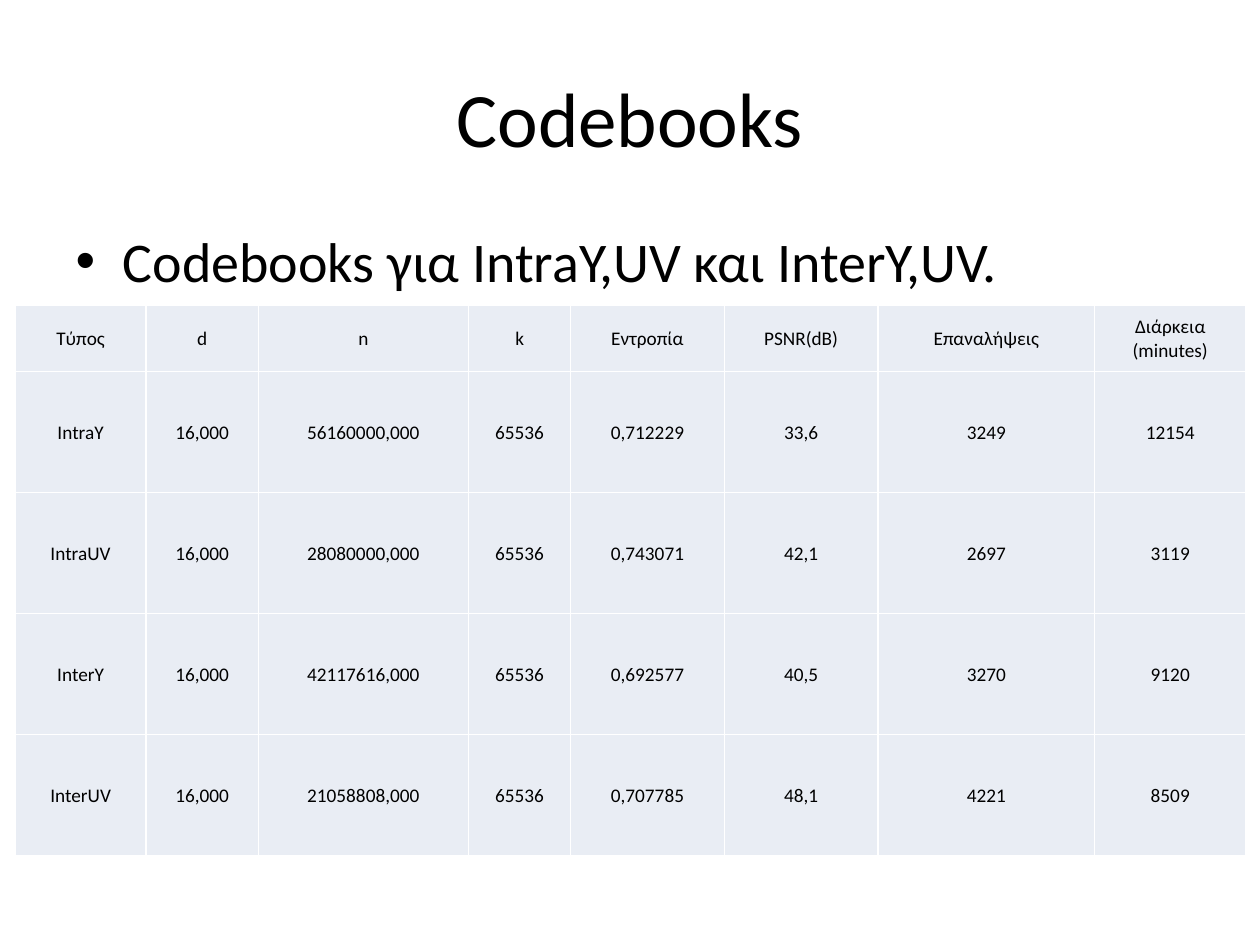
from pptx import Presentation, util as u
from pptx.dml.color import RGBColor
from pptx.enum import text

COLORS = {"text": "000000", "cell": "E9EDF4"}
CELL_FORMAT = {
    "vertical_anchor": text.MSO_ANCHOR.MIDDLE,
    "margin_left": u.Inches(0.01),
    "margin_right": u.Inches(0.01),
    "margin_top": u.Inches(0.01),
    "margin_bottom": 0,
}
COLUMN_WIDTHS = [1.04, 0.89, 1.67, 0.81, 1.22, 1.22, 1.72, 1.2]
ROW_HEIGHTS = [0.53] + [0.96] * 4
HEADER = ["Τύπος", "d", "n", "k", "Εντροπία", "PSNR(dB)", "Επαναλήψεις", "Διάρκεια (minutes)"]
# Every codebook shares the same d and k
D, K = "16,000", "65536"
CODEBOOKS = [
    ["IntraY", D, "56160000,000", K, "0,712229", "33,6", "3249", "12154"],
    ["IntraUV", D, "28080000,000", K, "0,743071", "42,1", "2697", "3119"],
    ["InterY", D, "42117616,000", K, "0,692577", "40,5", "3270", "9120"],
    ["InterUV", D, "21058808,000", K, "0,707785", "48,1", "4221", "8509"],
]


def write(tf, words, size):
    p = tf.paragraphs[0]
    r = p.add_run()
    r.text = words
    r.font.size = u.Pt(size)
    r.font.name = "Calibri"
    r.font.color.rgb = RGBColor.from_string(COLORS["text"])
    return p


prs = Presentation()
prs.slide_width, prs.slide_height = u.Inches(10), u.Inches(7.5)
s = prs.slides.add_slide(prs.slide_layouts[1])

title, body = s.placeholders
for sp, top, height, words, size in [
    (title, 0.3, 1.25, "Codebooks", 44),
    (body, 1.75, 4.95, "Codebooks για IntraY,UV και InterY,UV.", 32),
]:
    sp.left, sp.width = int(prs.slide_width * 0.05), int(prs.slide_width * 0.9)
    sp.top, sp.height = u.Inches(top), u.Inches(height)
    write(sp.text_frame, words, size)

rows = [HEADER] + CODEBOOKS
table = s.shapes.add_table(
    len(rows), len(HEADER), u.Inches(0.12), u.Inches(2.42),
    u.Inches(sum(COLUMN_WIDTHS)), u.Inches(sum(ROW_HEIGHTS))).table
# The plain table style keeps its thin white grid lines
table.first_row = table.horz_banding = False
for column, width in zip(table.columns, COLUMN_WIDTHS):
    column.width = u.Inches(width)
for row, height, values in zip(table.rows, ROW_HEIGHTS, rows):
    row.height = u.Inches(height)
    for cell, value in zip(row.cells, values):
        for name, setting in CELL_FORMAT.items():
            setattr(cell, name, setting)
        cell.fill.solid()
        cell.fill.fore_color.rgb = RGBColor.from_string(COLORS["cell"])
        write(cell.text_frame, value, 11).alignment = text.PP_ALIGN.CENTER

prs.save("out.pptx")
